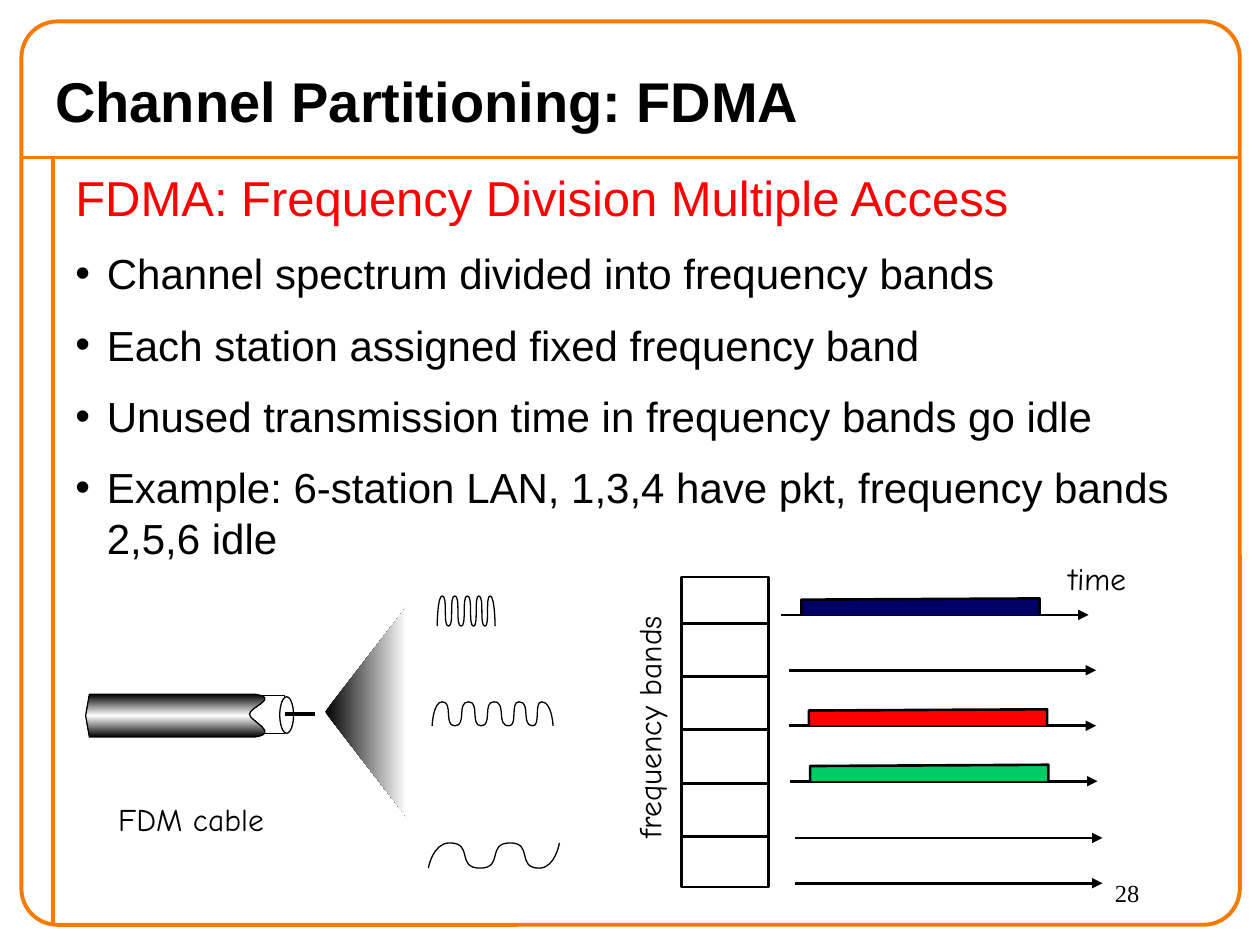
"""Build the slide on channel partitioning with FDMA."""
from copy import deepcopy

from pptx import Presentation
from pptx.dml.color import RGBColor
from pptx.enum.shapes import MSO_CONNECTOR, MSO_SHAPE
from pptx.enum.text import MSO_ANCHOR
from pptx.oxml.ns import qn
from pptx.util import Inches, Pt

STRAIGHT = MSO_CONNECTOR.STRAIGHT
RECT, ROUND, OVAL = MSO_SHAPE.RECTANGLE, MSO_SHAPE.ROUNDED_RECTANGLE, MSO_SHAPE.OVAL
MIDDLE = MSO_ANCHOR.MIDDLE
BLACK, WHITE = RGBColor(0, 0, 0), RGBColor(255, 255, 255)
ORANGE, RED = RGBColor(0xF4, 0x7A, 0), RGBColor(255, 0, 0)
NAVY, GREEN = RGBColor(0, 0, 0x66), RGBColor(0, 0xCC, 0x66)

TITLE = "Channel Partitioning: FDMA"
HEAD = "FDMA: Frequency Division Multiple Access"
POINTS = [
    "Channel spectrum divided into frequency bands",
    "Each station assigned fixed frequency band",
    "Unused transmission time in frequency bands go idle",
    "Example: 6-station LAN, 1,3,4 have pkt, frequency bands 2,5,6 idle",
]
LABELS = [
    ("frequency bands", (4.09, 5.49, 2.12, 0.4), 270),
    ("time", (8.38, 4.39, 0.72, 0.4), 1.1),
    ("FDM cable", (0.84, 6.3, 1.44, 0.4), 0),
]
STACK = (5.41, 4.58, 0.69, 2.46)
SPLITS = [4.95, 5.37, 5.79, 6.22, 6.64]
LANES = [
    (6.2, 4.88, NAVY), (6.26, 5.32, None), (6.26, 5.76, RED),
    (6.27, 6.2, GREEN), (6.31, 6.65, None), (6.31, 7.01, None),
]
LANE, BAR, RISE = 2.44, 1.89, 0.12
WAVES = [
    (4.97, 4.73, 0.95, [3.47, 3.51, 3.56, 3.61, 3.66, 3.71, 3.76, 3.8, 3.85, 3.89, 3.93]),
    (5.76, 5.57, 0.9, [3.43, 3.51, 3.61, 3.72, 3.82, 3.92, 4.04, 4.12, 4.23, 4.3, 4.39]),
    (6.89, 6.69, 0.8, [3.4, 3.57, 3.81, 4.05, 4.28, 4.44]),
]
FAN = [[(3.23, 4.81)], [(2.58, 5.65)], [(3.23, 6.49)]]
SHEATH = [
    [(0.71, 5.51)], [(0.68, 5.68)], [(0.71, 5.85)], [(2.02, 5.85)],
    [(2.23, 5.82), (1.98, 5.72), (1.98, 5.67)],
    [(1.98, 5.61), (2.23, 5.54), (2.02, 5.51)],
]

deck = Presentation()
deck.slide_width, deck.slide_height = Inches(10), Inches(7.5)
shapes = deck.slides.add_slide(deck.slide_layouts[6]).shapes


def paint(shape, fill=None, line=None, width=0.75):
    shape.shadow.inherit = False
    if fill is None:
        shape.fill.background()
    else:
        shape.fill.solid()
        shape.fill.fore_color.rgb = fill
    if line is None:
        shape.line.fill.background()
    else:
        shape.line.color.rgb = line
        shape.line.width = Pt(width)
    return shape


def block(kind, at, fill=None, line=BLACK, width=0.75):
    return paint(shapes.add_shape(kind, *map(Inches, at)), fill, line, width)


def bend(shape, steps):
    segments = shape._element.findall(".//" + qn("a:lnTo"))
    for seg, step in zip(segments, steps):
        if len(step) == 3:
            seg.tag = qn("a:cubicBezTo")
            end = seg[0]
            for x, y in step[:2]:
                spot = deepcopy(end)
                spot.set("x", str(Inches(x) - shape.left))
                spot.set("y", str(Inches(y) - shape.top))
                end.addprevious(spot)


def outline(steps, close=False, **look):
    dots = [tuple(map(Inches, step[-1])) for step in steps]
    pen = shapes.build_freeform(*dots[0])
    pen.add_line_segments(dots[1:], close=close)
    shape = pen.convert_to_shape()
    bend(shape, steps[1:])
    return paint(shape, **look)


def blend(shape, colors, angle):
    fill = shape.fill
    fill.gradient()
    fill.gradient_angle = angle
    stops = shape._element.spPr.find(".//" + qn("a:gsLst"))
    while len(stops) < len(colors):
        stops.append(deepcopy(stops[0]))
    for i, (stop, color) in enumerate(zip(fill.gradient_stops, colors)):
        stop.color.rgb = color
        stop.position = i / (len(colors) - 1)


def rule(x1, y1, x2, y2, color=BLACK, width=1.5, arrow=False):
    line = shapes.add_connector(STRAIGHT, *map(Inches, (x1, y1, x2, y2)))
    line.line.color.rgb = color
    line.line.width = Pt(width)
    props = line._element.spPr
    if arrow:
        stroke = props.find(qn("a:ln"))
        stroke.append(stroke.makeelement(qn("a:tailEnd"), {"type": "triangle"}))
    props.append(props.makeelement(qn("a:effectLst"), {}))


def write(at, lines, size, face, wrap=True):
    box = shapes.add_textbox(*map(Inches, at))
    frame = box.text_frame
    frame.word_wrap = wrap
    frame.text = "\n".join(lines)
    for para in frame.paragraphs:
        para.font.size, para.font.name = Pt(size), face
        para.font.color.rgb = BLACK
    return box


def bullet(para):
    para.runs[0].font.size = para.font.size
    props = para._p.get_or_add_pPr()
    props.set("marL", str(Inches(0.25)))
    props.set("indent", str(Inches(-0.25)))
    for tag, value in (("a:buFont", {"typeface": "Arial"}), ("a:buChar", {"char": "•"})):
        mark = props.makeelement(qn(tag), value)
        props.insert_element_before(mark, "a:tabLst", "a:defRPr", "a:extLst")


def wave(low, high, swing, knots):
    steps = [[(knots[0], low)]]
    last = len(knots) - 2
    for i, (x, far) in enumerate(zip(knots, knots[1:])):
        y, goal = (high, low) if i % 2 else (low, high)
        reach = swing * (far - x)
        lead = x if i == 0 else x + reach
        trail = far if i == last else far - reach
        steps.append([(lead, y), (trail, goal), (far, goal)])
    outline(steps, line=BLACK)


def cable():
    blend(outline(FAN, close=True), [BLACK, WHITE], 0)
    block(RECT, (1.97, 5.52, 0.29, 0.3), WHITE)
    blend(outline(SHEATH, close=True, line=BLACK), [BLACK, WHITE, BLACK], 90)
    block(OVAL, (2.22, 5.53, 0.11, 0.29), WHITE)
    rule(2.26, 5.67, 2.5, 5.67, width=2.25)


def bands():
    left, _, wide, _ = STACK
    block(RECT, STACK, WHITE, width=1.5)
    for y in SPLITS:
        rule(left, y, left + wide, y)
    for x, y, color in LANES:
        rule(x, y, x + LANE, y, arrow=True)
        if color:
            near, far, top = x + 0.16, x + 0.16 + BAR, y - RISE
            edge = [(near, y), (near, top), (far, top - 0.01), (far, y)]
            outline([[dot] for dot in edge], fill=color, line=BLACK, width=1.5)


def main():
    rule(0.17, 1.25, 9.83, 1.25, ORANGE, 2.25)
    rule(0.42, 1.25, 0.42, 7.33, ORANGE, 2.25)
    block(ROUND, (0.17, 0.17, 9.67, 7.17), line=ORANGE, width=2.25).adjustments[0] = 0.04
    write((8.75, 6.92, 1, 0.42), ["28"], 14, "Times New Roman")
    title = write((0.34, 0.42, 9.42, 0.75), [TITLE], 32, "Arial").text_frame
    title.vertical_anchor = MIDDLE
    title.paragraphs[0].font.bold = True
    body = write((0.5, 1.33, 9.25, 3.42), [HEAD, *POINTS], 24, "Arial")
    head, *items = body.text_frame.paragraphs
    head.font.size, head.font.color.rgb = Pt(28), RED
    head.line_spacing = 0.9
    for para in items:
        para.space_before = Pt(12)
        bullet(para)
    bands()
    cable()
    for row in WAVES:
        wave(*row)
    for text, at, turn in LABELS:
        write(at, [text], 18, "Comic Neue", wrap=False).rotation = turn
    deck.save("out.pptx")


if __name__ == "__main__":
    main()
